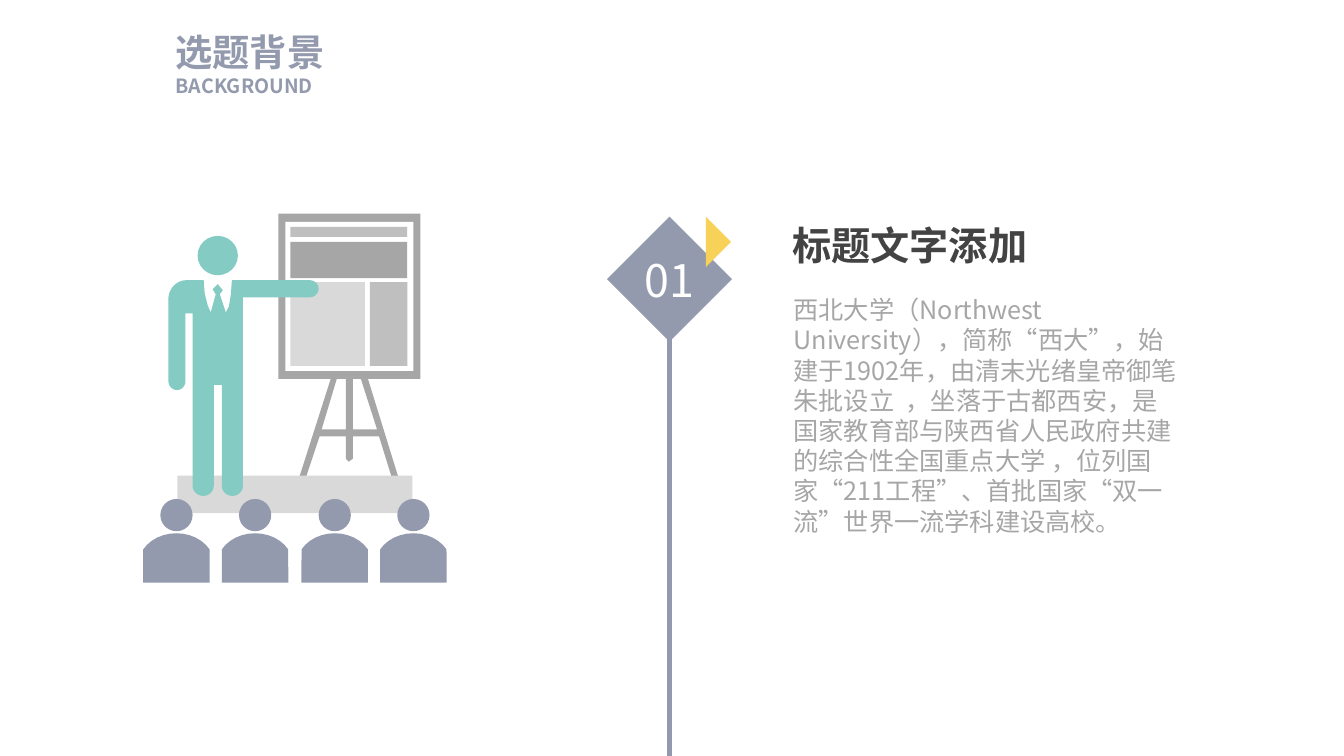
import math
from dataclasses import dataclass

from lxml import etree
from pptx import Presentation
from pptx import util as u
from pptx.dml.color import RGBColor
from pptx.enum import shapes, text
from pptx.oxml.ns import qn

EMU_PER_PX = 9144  # 100 px to the inch


@dataclass(frozen=True)
class Theme:
    slate: str = "939AAE"
    teal: str = "84CBC3"
    yellow: str = "F8D158"
    white: str = "FFFFFF"
    ink: str = "444343"
    gray: str = "A6A6A6"
    mid_gray: str = "BFBFBF"
    light_gray: str = "D9D9D9"
    font: str = "Noto Sans CJK SC"
    title_font: str = "Roboto Condensed"
    title_size: float = 26.6
    subtitle_size: float = 14
    number_size: float = 32
    heading_size: float = 28
    body_size: float = 18


THEME = Theme()
ELLIPSE = shapes.MSO_SHAPE.OVAL
RECT = shapes.MSO_SHAPE.RECTANGLE


def px(length):
    return u.Emu(round(length * EMU_PER_PX))


def paint(shape, color):
    shape.shadow.inherit = False
    shape.fill.solid()
    shape.fill.fore_color.rgb = RGBColor.from_string(color)
    shape.line.fill.background()
    return shape


def preset(parent, kind, box, color):
    return paint(parent.add_shape(kind, *map(px, box)), color)


def outline(parent, left, top, contours, color):
    """Filled outline; contours after the first one are holes."""
    placed = [[(px(left + x), px(top + y)) for x, y in c] for c in contours]
    builder = parent.build_freeform(*placed[0][0])
    builder.add_line_segments(placed[0][1:], close=True)
    for hole in placed[1:]:
        builder.move_to(*hole[0])
        builder.add_line_segments(hole[1:], close=True)
    return paint(builder.convert_to_shape(), color)


def arc(cx, cy, rx, ry, start, end, steps=12):
    angles = [math.radians(start + (end - start) * i / steps) for i in range(steps + 1)]
    return [(cx + rx * math.cos(a), cy + ry * math.sin(a)) for a in angles]


def style(paragraph, size, color, font=THEME.font, bold=False, align=text.PP_ALIGN.LEFT):
    paragraph.alignment = align
    paragraph.space_before = u.Pt(0)
    for run in paragraph.runs:
        run.font.size = u.Pt(size)
        run.font.bold = bold
        run.font.name = font
        run.font.color.rgb = RGBColor.from_string(color)
        east_asian = etree.SubElement(run.font._element, qn("a:ea"))
        east_asian.set("typeface", THEME.font)


def place(shape, box):
    shape.left, shape.top, shape.width, shape.height = map(px, box)


def set_frame(frame, wrap=True, inset=None):
    frame.word_wrap = wrap
    frame.auto_size = text.MSO_AUTO_SIZE.SHAPE_TO_FIT_TEXT
    frame.vertical_anchor = text.MSO_ANCHOR.TOP
    if inset is not None:
        frame.margin_left = frame.margin_right = px(inset)
        frame.margin_top = frame.margin_bottom = px(inset)


def page_title(slide, box):
    title = slide.shapes.title
    place(title, box)
    frame = title.text_frame
    frame.text = "选题背景\nBACKGROUND"
    set_frame(frame, wrap=False, inset=0)
    chinese, english = frame.paragraphs
    style(chinese, THEME.title_size, THEME.slate, THEME.title_font, bold=True)
    style(english, THEME.subtitle_size, THEME.slate, bold=True)


def easel(parent, left, top):
    frame_and_legs = [
        (141, 0), (0, 0), (0, 164), (52, 164), (21, 261), (23, 265), (27, 263),
        (41, 221), (67, 221), (67, 243), (70, 246), (74, 243), (74, 221), (100, 221),
        (113, 263), (117, 265), (119, 261), (89, 164), (141, 164),
    ]
    left_gap = [(43, 214), (58, 164), (67, 164), (67, 214)]
    right_gap = [(98, 214), (74, 214), (74, 164), (82, 164)]
    outline(parent, left, top, [frame_and_legs, left_gap, right_gap], THEME.gray)
    panels = [
        (7, 8, 127, 148, THEME.white),
        (12, 13, 116, 10, THEME.mid_gray),
        (12, 28, 116, 36, THEME.gray),
        (12, 68, 74, 83, THEME.light_gray),
        (91, 68, 37, 83, THEME.mid_gray),
    ]
    for x, y, width, height, color in panels:
        preset(parent, RECT, (left + x, top + y, width, height), color)


def presenter(parent, left, top):
    preset(parent, ELLIPSE, (left + 29, top, 40, 39), THEME.teal)
    collar_and_tie = [
        (63, 44), (62, 58), (60, 70), (57, 76), (51, 58), (54, 54), (49, 48),
        (44, 53), (47, 58), (42, 76), (39, 69), (36, 57), (35, 44),
    ]
    body = [
        *collar_and_tie,
        *arc(18, 63, 18, 19, 270, 180),  # shoulder
        *arc(8.5, 144, 8.5, 9, 180, 0),  # hanging hand
        (17, 77), (24, 77),
        *arc(34.5, 248, 10.5, 10, 180, 0),  # feet
        (45, 148), (53, 148),
        *arc(63.5, 248, 10.5, 10, 180, 0),
        (74, 61),
        *arc(140, 52.5, 9, 8.5, 90, -90),  # pointing hand
    ]
    outline(parent, left, top, [body], THEME.teal)


def listener(parent, left, top):
    preset(parent, ELLIPSE, (left + 17, top, 32, 32), THEME.slate)
    shoulders = [*arc(33, 66, 38, 32, 210, 330), (66, 83), (0, 83)]
    outline(parent, left, top, [shoulders], THEME.slate)


def lecture_scene(slide, left, top):
    scene = slide.shapes.add_group_shape().shapes
    easel(scene, left + 134, top)
    preset(scene, RECT, (left + 34, top + 260, 233, 37), THEME.light_gray)  # stage
    presenter(scene, left + 25, top + 22)
    for seat in range(4):
        listener(scene, left + round(seat * 78.4), top + 283)


def timeline_marker(slide, left, top, bottom):
    size = 124
    center = left + size // 2
    stem = slide.shapes.add_connector(
        shapes.MSO_CONNECTOR.STRAIGHT, px(center), px(top + 119), px(center), px(bottom))
    stem.line.color.rgb = RGBColor.from_string(THEME.slate)
    stem.line.width = u.Pt(3)
    etree.SubElement(stem._element.spPr, qn("a:effectLst"))

    number = preset(slide.shapes, shapes.MSO_SHAPE.DIAMOND, (left, top, size, size), THEME.slate)
    frame = number.text_frame
    frame.text = "01"
    frame.margin_left = frame.margin_right = frame.margin_top = frame.margin_bottom = 0
    frame.vertical_anchor = text.MSO_ANCHOR.MIDDLE
    style(frame.paragraphs[0], THEME.number_size, THEME.white, align=text.PP_ALIGN.CENTER)

    flag = [(0, 0), (25, 25), (0, 50)]
    outline(slide.shapes, left + 98, top, [flag], THEME.yellow)


def topic(slide, left, top):
    heading = slide.shapes.add_textbox(*map(px, (left, top, 390, 57)))
    heading.text_frame.text = "标题文字添加"
    set_frame(heading.text_frame)
    style(heading.text_frame.paragraphs[0], THEME.heading_size, THEME.ink, bold=True)

    description = slide.placeholders[1]
    place(description, (left + 1, top + 72, 405, 252))
    description.text_frame.text = (
        "西北大学（Northwest University），简称“西大”，始建于1902年，"
        "由清末光绪皇帝御笔朱批设立  ，坐落于古都西安，"
        "是国家教育部与陕西省人民政府共建的综合性全国重点大学 ，"
        "位列国家“211工程”、首批国家“双一流”世界一流学科建设高校。")
    set_frame(description.text_frame)
    paragraph = description.text_frame.paragraphs[0]
    style(paragraph, THEME.body_size, THEME.gray)
    properties = paragraph._p.get_or_add_pPr()
    properties.set("marL", "0")
    properties.set("indent", "0")
    etree.SubElement(properties, qn("a:buNone"))


def main():
    deck = Presentation()
    deck.slide_width, deck.slide_height = px(1333), px(750)
    slide = deck.slides.add_slide(deck.slide_layouts[1])
    page_title(slide, (174, 29, 149, 68))
    lecture_scene(slide, 142, 212)
    timeline_marker(slide, 602, 215, bottom=750)
    topic(slide, 776, 215)
    deck.save("out.pptx")


if __name__ == "__main__":
    main()
